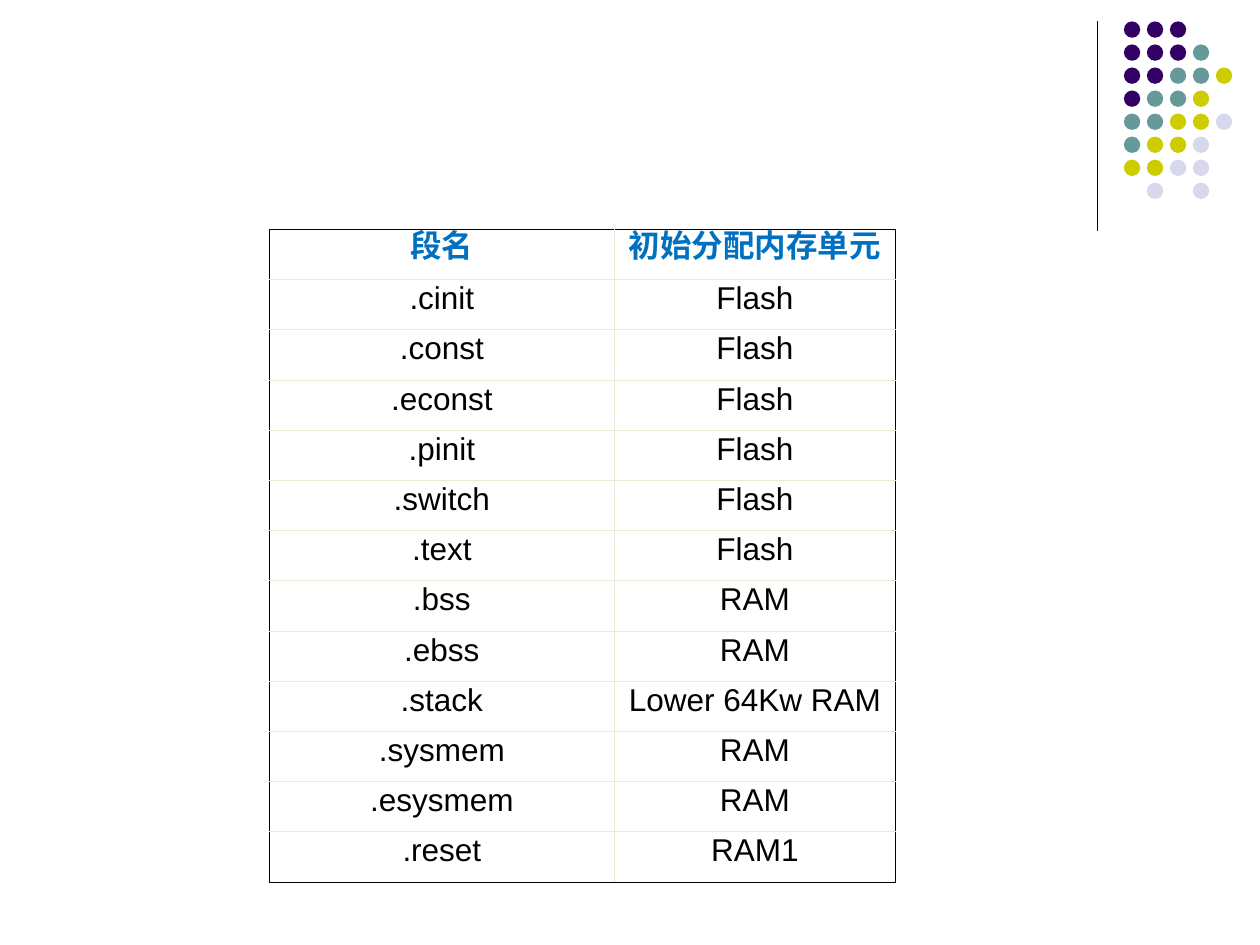
from lxml import etree
from pptx import Presentation
from pptx.dml.color import RGBColor
from pptx.enum.shapes import MSO_CONNECTOR, MSO_SHAPE
from pptx.enum.text import MSO_ANCHOR, PP_ALIGN
from pptx.oxml.ns import qn
from pptx.util import Inches, Pt

STRAIGHT = MSO_CONNECTOR.STRAIGHT
OVAL = MSO_SHAPE.OVAL
MIDDLE = MSO_ANCHOR.MIDDLE
CENTER = PP_ALIGN.CENTER

COLORS = {
    "ink": "000000",
    "heading": "0070C0",
    "rule": "ECE9D8",
    "P": "330066",
    "T": "669999",
    "Y": "CCCC00",
    "L": "D8D8EC",
}
DOT_ROWS = ["PPP", "PPPT", "PPTTY", "PTTY", "TTYYL", "TYYL", "YYLL", " L L"]
NO_TABLE_STYLE = "{2D5ABB26-0587-4C30-8999-92F81FD0307C}"
OUTER_EDGE = ("ink", 0.45)
INNER_EDGE = ("rule", 0.34)
CELL_FORMAT = {
    "vertical_anchor": MIDDLE,
    "margin_left": Inches(0.07),
    "margin_right": Inches(0.07),
    "margin_top": Inches(0.05),
    "margin_bottom": Inches(0.05),
}
PARAGRAPH_FORMAT = {"alignment": CENTER, "line_spacing": Pt(13.5)}
HEADING_FONTS = ["Arial", "DejaVu Sans"]
FIRST_COLUMN_SHARE = 0.55
SECTIONS = [
    ("段名", "初始分配内存单元"),
    (".cinit", "Flash"),
    (".const", "Flash"),
    (".econst", "Flash"),
    (".pinit", "Flash"),
    (".switch", "Flash"),
    (".text", "Flash"),
    (".bss", "RAM"),
    (".ebss", "RAM"),
    (".stack", "Lower 64Kw RAM"),
    (".sysmem", "RAM"),
    (".esysmem", "RAM"),
    (".reset", "RAM1"),
]


def color(key):
    return RGBColor.from_string(COLORS[key])


def apply_format(target, values):
    for attribute, value in values.items():
        setattr(target, attribute, value)


def add_divider(slide, x, top, bottom):
    divider = slide.shapes.add_connector(STRAIGHT, x, top, x, bottom)
    divider.line.color.rgb = color("ink")
    divider.line.width = Pt(0.75)
    etree.SubElement(divider._element.spPr, qn("a:effectLst"))


def add_dots(slide, left, top, width, height):
    diameter = Inches(0.13)
    step_x = (width - diameter) / (max(map(len, DOT_ROWS)) - 1)
    step_y = (height - diameter) / (len(DOT_ROWS) - 1)
    cluster = slide.shapes.add_group_shape()
    for row, keys in enumerate(DOT_ROWS):
        for column, key in enumerate(keys):
            if key == " ":
                continue
            dot = cluster.shapes.add_shape(
                OVAL, int(left + column * step_x), int(top + row * step_y),
                diameter, diameter)
            dot.shadow.inherit = False
            dot.fill.solid()
            dot.fill.fore_color.rgb = color(key)
            dot.line.fill.background()


def set_borders(cell, edges):
    properties = cell._tc.get_or_add_tcPr()
    for side, (key, points) in edges.items():
        border = etree.SubElement(properties, qn(f"a:ln{side}"), w=str(Pt(points)))
        fill = etree.SubElement(border, qn("a:solidFill"))
        etree.SubElement(fill, qn("a:srgbClr"), val=COLORS[key])


def add_section_table(slide, left, top, width, height):
    row_count, column_count = len(SECTIONS), len(SECTIONS[0])
    table = slide.shapes.add_table(
        row_count, column_count, left, top, width, height).table
    apply_format(table, {"first_row": False, "horz_banding": False})
    table._tbl.tblPr.find(qn("a:tableStyleId")).text = NO_TABLE_STYLE
    table.columns[0].width = int(width * FIRST_COLUMN_SHARE)
    table.columns[1].width = width - table.columns[0].width

    for row, texts in enumerate(SECTIONS):
        heading = row == 0
        for column, text in enumerate(texts):
            cell = table.cell(row, column)
            on_edge = {
                "L": column == 0,
                "R": column == column_count - 1,
                "T": heading,
                "B": row == row_count - 1,
            }
            set_borders(cell, {side: OUTER_EDGE if outer else INNER_EDGE
                               for side, outer in on_edge.items()})
            cell.fill.background()
            apply_format(cell, CELL_FORMAT)
            paragraph = cell.text_frame.paragraphs[0]
            apply_format(paragraph, PARAGRAPH_FORMAT)
            label = paragraph.add_run()
            label.text = text
            apply_format(label.font, {
                "size": Pt(18),
                "bold": heading,
                "name": HEADING_FONTS[column] if heading else "Arial",
            })
            label.font.color.rgb = color("heading" if heading else "ink")


def main():
    deck = Presentation()
    deck.slide_width, deck.slide_height = Inches(10), Inches(7.5)
    slide = deck.slides.add_slide(deck.slide_layouts[6])
    add_divider(slide, Inches(8.71), Inches(0.17), Inches(1.83))
    add_dots(slide, Inches(8.92), Inches(0.17), Inches(0.86), Inches(1.41))
    add_section_table(slide, Inches(2.14), Inches(1.82), Inches(4.97), Inches(5.18))
    deck.save("out.pptx")


if __name__ == "__main__":
    main()
